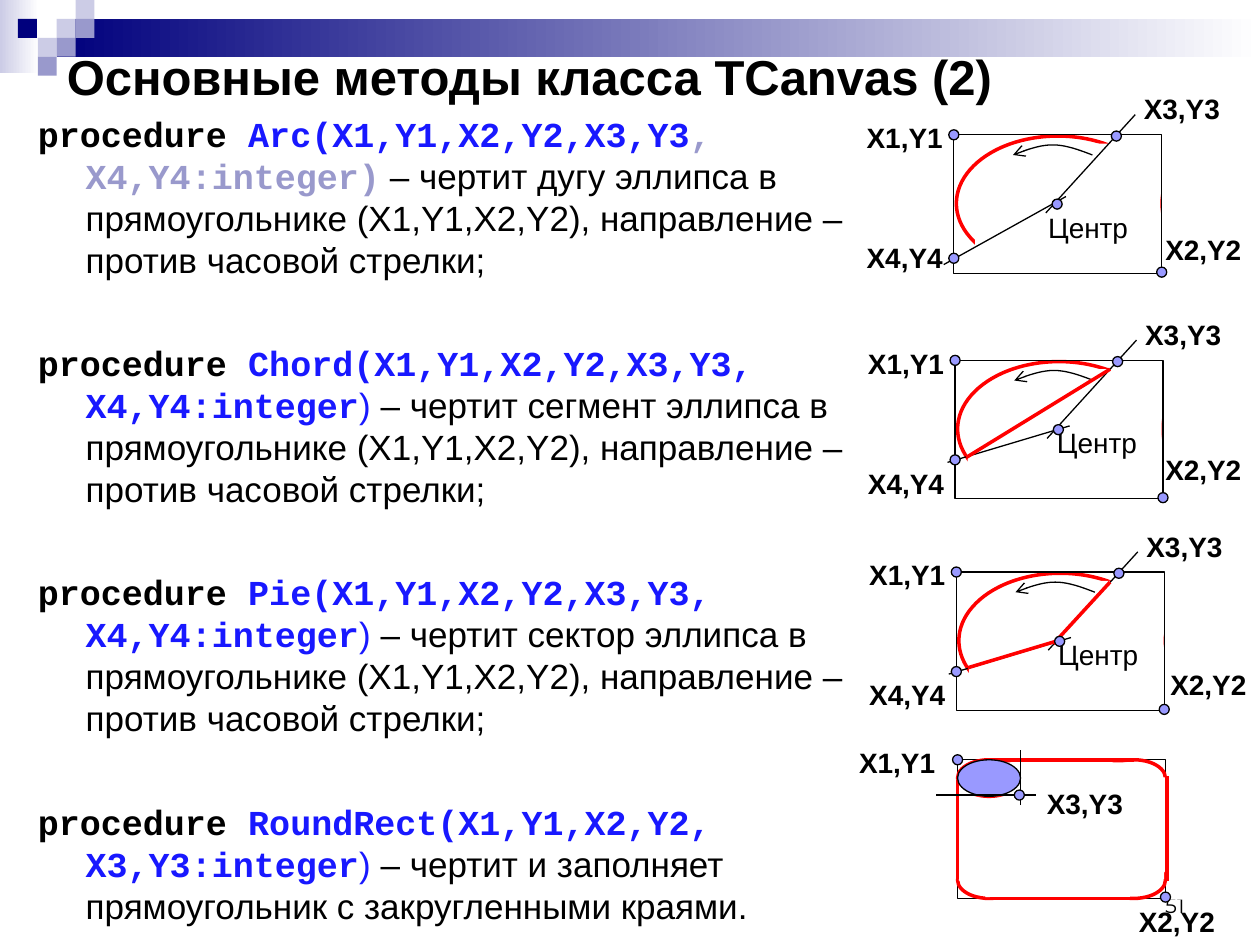
from dataclasses import dataclass

import lxml.etree
import pptx
import pptx.dml.color
import pptx.enum.shapes
import pptx.enum.text
import pptx.oxml.ns
import pptx.util

Inches = pptx.util.Inches
Pt = pptx.util.Pt
SHAPE = pptx.enum.shapes.MSO_SHAPE
ALIGN = pptx.enum.text.PP_ALIGN
ANCHOR = pptx.enum.text.MSO_ANCHOR


@dataclass(frozen=True)
class Theme:
    black: str = "000000"
    white: str = "FFFFFF"
    red: str = "FF0000"
    navy: str = "00007D"
    code: str = "1818FF"
    violet: str = "9999CC"
    lilac: str = "CCCCE6"
    dot: str = "9999FF"
    sans: str = "Arial"
    mono: str = "Courier New"
    number_font: str = "Montserrat"
    title_size: int = 28
    body_size: int = 20
    label_size: int = 16
    number_size: int = 12
    thin: float = 0.75
    thick: float = 2


def rgb(value):
    return pptx.dml.color.RGBColor.from_string(value)


def assign(target, values):
    for name, value in values.items():
        setattr(target, name, value)


def add_xml(parent, tag, **attributes):
    return lxml.etree.SubElement(parent, pptx.oxml.ns.qn(tag), attributes)


class Painter:
    def __init__(self, slide, theme):
        self.slide, self.theme = slide, theme

    def place(self, target, left, top, width, height):
        assign(target, {"left": Inches(left), "top": Inches(top),
                        "width": Inches(width), "height": Inches(height)})

    def pen(self, line, color, weight):
        line.color.rgb = rgb(color)
        line.width = Pt(weight)

    def run(self, paragraph, text, size, color, font=None, bold=False):
        run = paragraph.add_run()
        run.text = text
        assign(run.font, {"name": font or self.theme.sans, "size": Pt(size), "bold": bold})
        run.font.color.rgb = rgb(color)

    def shape(self, kind, at, fill=None, line=None, weight=None):
        """A pair of colours as fill gives a left-to-right gradient."""
        shape = self.slide.shapes.add_shape(kind, *map(Inches, at))
        shape.shadow.inherit = False
        if fill is None:
            shape.fill.background()
        elif isinstance(fill, tuple):
            shape.fill.gradient()
            shape.fill.gradient_angle = 0
            for stop, color in zip(shape.fill.gradient_stops, fill):
                stop.color.rgb = rgb(color)
        else:
            shape.fill.solid()
            shape.fill.fore_color.rgb = rgb(fill)
        if line:
            self.pen(shape.line, line, weight or self.theme.thin)
        else:
            shape.line.fill.background()

    def mask(self, *at):
        self.shape(SHAPE.RECTANGLE, at, self.theme.white)

    def frame(self, x, y):
        self.shape(SHAPE.RECTANGLE, (x, y, 1.65, 1.1), line=self.theme.black)

    def dot(self, x, y):
        self.shape(SHAPE.OVAL, (x, y, 0.08, 0.08), self.theme.dot, self.theme.black)

    def red_oval(self, *at):
        self.shape(SHAPE.OVAL, at, line=self.theme.red, weight=self.theme.thick)

    def line(self, x1, y1, x2, y2, red=False):
        link = self.slide.shapes.add_connector(
            pptx.enum.shapes.MSO_CONNECTOR.STRAIGHT, *map(Inches, (x1, y1, x2, y2)))
        color, weight = ((self.theme.red, self.theme.thick) if red
                         else (self.theme.black, self.theme.thin))
        self.pen(link.line, color, weight)
        add_xml(link._element.spPr, "a:effectLst")

    def direction_arrow(self, x, y):
        """Shallow bow, drawn from right to left with the arrowhead at its end."""
        steps = [1 - i / 10 for i in range(21)]
        points = [(Inches(x + 0.315 * (1 + u)), Inches(y + 0.12 * u * u - 0.04 * abs(u) ** 3))
                  for u in steps]
        builder = self.slide.shapes.build_freeform(*points[0])
        builder.add_line_segments(points[1:], close=False)
        bow = builder.convert_to_shape()
        bow.shadow.inherit = False
        bow.fill.background()
        self.pen(bow.line, self.theme.black, self.theme.thin)
        add_xml(bow.line._get_or_add_ln(), "a:tailEnd", type="arrow")

    def label(self, text, x, y, width=0.85, bold=True):
        box = self.slide.shapes.add_textbox(*map(Inches, (x, y, width, 0.37)))
        box.text_frame.word_wrap = False
        self.run(box.text_frame.paragraphs[0], text, self.theme.label_size,
                 self.theme.black, bold=bold)

    def slide_number(self, text, *at):
        frame = self.slide.shapes.add_textbox(*map(Inches, at)).text_frame
        assign(frame, {"word_wrap": True, "vertical_anchor": ANCHOR.BOTTOM})
        frame.paragraphs[0].alignment = ALIGN.RIGHT
        self.run(frame.paragraphs[0], text, self.theme.number_size,
                 self.theme.black, self.theme.number_font)

    def fill_placeholder(self, holder, at, anchor):
        self.place(holder, *at)
        assign(holder.text_frame, {"word_wrap": True, "vertical_anchor": anchor,
                                   "auto_size": pptx.enum.text.MSO_AUTO_SIZE.NONE})
        return holder.text_frame

    def title(self, text, at):
        frame = self.fill_placeholder(self.slide.shapes.title, at, ANCHOR.MIDDLE)
        frame.paragraphs[0].alignment = ALIGN.LEFT
        self.run(frame.paragraphs[0], text, self.theme.title_size, self.theme.black, bold=True)

    def procedures(self, entries, at):
        theme = self.theme
        looks = {"key": (theme.black, theme.mono, True), "code": (theme.code, theme.mono, True),
                 "pale": (theme.violet, theme.mono, True), "blue": (theme.code, theme.sans, False),
                 "text": (theme.black, theme.sans, False)}
        frame = self.fill_placeholder(self.slide.placeholders[1], at, ANCHOR.TOP)
        for number, spans in enumerate(entries):
            paragraph = frame.add_paragraph() if number else frame.paragraphs[0]
            assign(paragraph, {"alignment": ALIGN.LEFT, "line_spacing": 1.0,
                               "space_before": Pt(35 if number else 5), "space_after": Pt(0)})
            props = paragraph._p.get_or_add_pPr()
            props.set("marL", str(Inches(0.38)))
            props.set("indent", str(-Inches(0.38)))
            add_xml(props, "a:buNone")
            for look, text in [("key", "procedure ")] + spans:
                self.run(paragraph, text, theme.body_size, *looks[look])

    def header(self):
        theme = self.theme
        self.shape(SHAPE.RECTANGLE, (0, 0, 0.31, 0.58), (theme.lilac, theme.white))
        self.shape(SHAPE.RECTANGLE, (0.45, 0.15, 9.55, 0.3), (theme.navy, theme.white))
        squares = {theme.lilac: [(3, 1), (4, 0), (2, 2)], theme.violet: [(4, 1), (3, 2), (2, 3)],
                   theme.navy: [(0.95, 1)]}
        for color, cells in squares.items():
            for column, row in cells:
                self.shape(SHAPE.RECTANGLE, (0.15 * column, 0.15 * row, 0.15, 0.15), color)

    def ellipse_diagram(self, x, y, mask_left, ray, x2_label, x4_dot, center_label, chords=()):
        """Part of an ellipse in its frame; arguments after y are offsets from the frame corner."""
        self.red_oval(x + 0.02, y + 0.01, 1.61, 1.07)
        self.mask(x + 1.1, y + 0.07, 0.54, 0.96)
        self.line(x + 0.73, y + 0.62, x + 1.44, y - 0.16)
        self.mask(x + mask_left, y + 0.63, 1.34 - mask_left, 0.47)
        self.line(x + ray[0], y + ray[1], x + ray[2], y + ray[3])
        self.frame(x, y)
        self.direction_arrow(x + 0.47, y + 0.08)
        labels = {"X1,Y1": (-0.79, -0.16), "X3,Y3": (1.41, -0.39),
                  "X2,Y2": x2_label, "X4,Y4": (-0.79, 0.79)}
        for text, (dx, dy) in labels.items():
            self.label(text, x + dx, y + dy)
        self.label("Центр", x + center_label[0], y + center_label[1], bold=False)
        for x1, y1, x2, y2 in chords:
            self.line(x + x1, y + y1, x + x2, y + y2, red=True)
        for dx, dy in [(-0.04, -0.04), (1.61, 1.05), (1.25, -0.03), (-0.04, x4_dot), (0.78, 0.51)]:
            self.dot(x + dx, y + dy)

    def round_rect_diagram(self, x, y):
        self.frame(x, y)
        for dx in (0, 1.15):
            for dy in (0, 0.81):
                self.red_oval(x + dx, y + dy, 0.5, 0.29)
        for dx, dy, width, height in [(-0.08, 0.16, 0.63, 0.13), (0.25, 0.02, 0.3, 0.22),
                                      (0.01, 0.77, 0.63, 0.19), (0.22, 0.88, 1.15, 0.21),
                                      (1.01, 0.76, 0.63, 0.19), (1.01, 0.14, 0.64, 0.22),
                                      (0.77, 0.02, 0.63, 0.19)]:
            self.mask(x + dx, y + dy, width, height)
        for x1, y1, x2, y2 in [(0.26, 1.1, 1.43, 1.1), (1.66, 0.96, 1.66, 0.13),
                               (0, 0.95, 0, 0.16), (0.22, 0, 1.4, 0)]:
            self.line(x + x1, y + y1, x + x2, y + y2, red=True)
        self.shape(SHAPE.OVAL, (x, y, 0.5, 0.29), self.theme.dot, self.theme.black)
        self.line(x - 0.17, y + 0.28, x + 0.62, y + 0.28)
        self.line(x + 0.5, y + 0.36, x + 0.5, y - 0.08)
        for dx, dy in [(-0.04, -0.04), (1.61, 1.05), (0.45, 0.24)]:
            self.dot(x + dx, y + dy)
        for text, dx, dy in [("X1,Y1", -0.88, -0.16), ("X2,Y2", 1.34, 1.1), ("X3,Y3", 0.61, 0.16)]:
            self.label(text, x + dx, y + dy)


def main():
    deck = pptx.Presentation()
    assign(deck, {"slide_width": Inches(10), "slide_height": Inches(7.5)})
    painter = Painter(deck.slides.add_slide(deck.slide_layouts[1]), Theme())
    painter.header()
    painter.slide_number("51", 7.17, 6.83, 2.33, 0.5)
    painter.mask(8.68, 6.9, 0.73, 0.24)
    painter.title("Основные методы класса TCanvas (2)", (0.43, 0.36, 9, 0.49))

    tail = " эллипса в прямоугольнике (X1,Y1,X2,Y2), направление – против часовой стрелки;"
    painter.procedures([
        [("code", "Arc(X1,Y1,X2,Y2,X3,Y3"), ("pale", ", X4,Y4:integer)"),
         ("text", " – чертит дугу" + tail)],
        [("code", "Chord(X1,Y1,X2,Y2,X3,Y3, X4,Y4:integer"), ("blue", ") "),
         ("text", "– чертит сегмент" + tail)],
        [("code", "Pie(X1,Y1,X2,Y2,X3,Y3, X4,Y4:integer"), ("blue", ") "),
         ("text", "– чертит сектор" + tail)],
        [("code", "RoundRect(X1,Y1,X2,Y2, X3,Y3:integer"), ("blue", ") "),
         ("text", "– чертит и заполняет прямоугольник с закругленными краями.")],
    ], (0.2, 0.84, 6.69, 6.93))

    painter.ellipse_diagram(7.57, 1.07, 0.17, (-0.08, 1.03, 0.89, 0.49),
                            (1.58, 0.73), 0.94, (0.65, 0.55))
    low_ray = {"mask_left": 0.1, "ray": (-0.06, 0.81, 0.91, 0.52),
               "x4_dot": 0.75, "center_label": (0.71, 0.47)}
    painter.ellipse_diagram(7.58, 2.86, x2_label=(1.57, 0.68),
                            chords=[(0.09, 0.77, 1.23, 0.07)], **low_ray)
    painter.ellipse_diagram(7.59, 4.54, x2_label=(1.6, 0.71),
                            chords=[(0.09, 0.76, 0.79, 0.55), (0.77, 0.57, 1.22, 0.08)], **low_ray)
    painter.round_rect_diagram(7.6, 6.03)
    deck.save("out.pptx")


if __name__ == "__main__":
    main()
